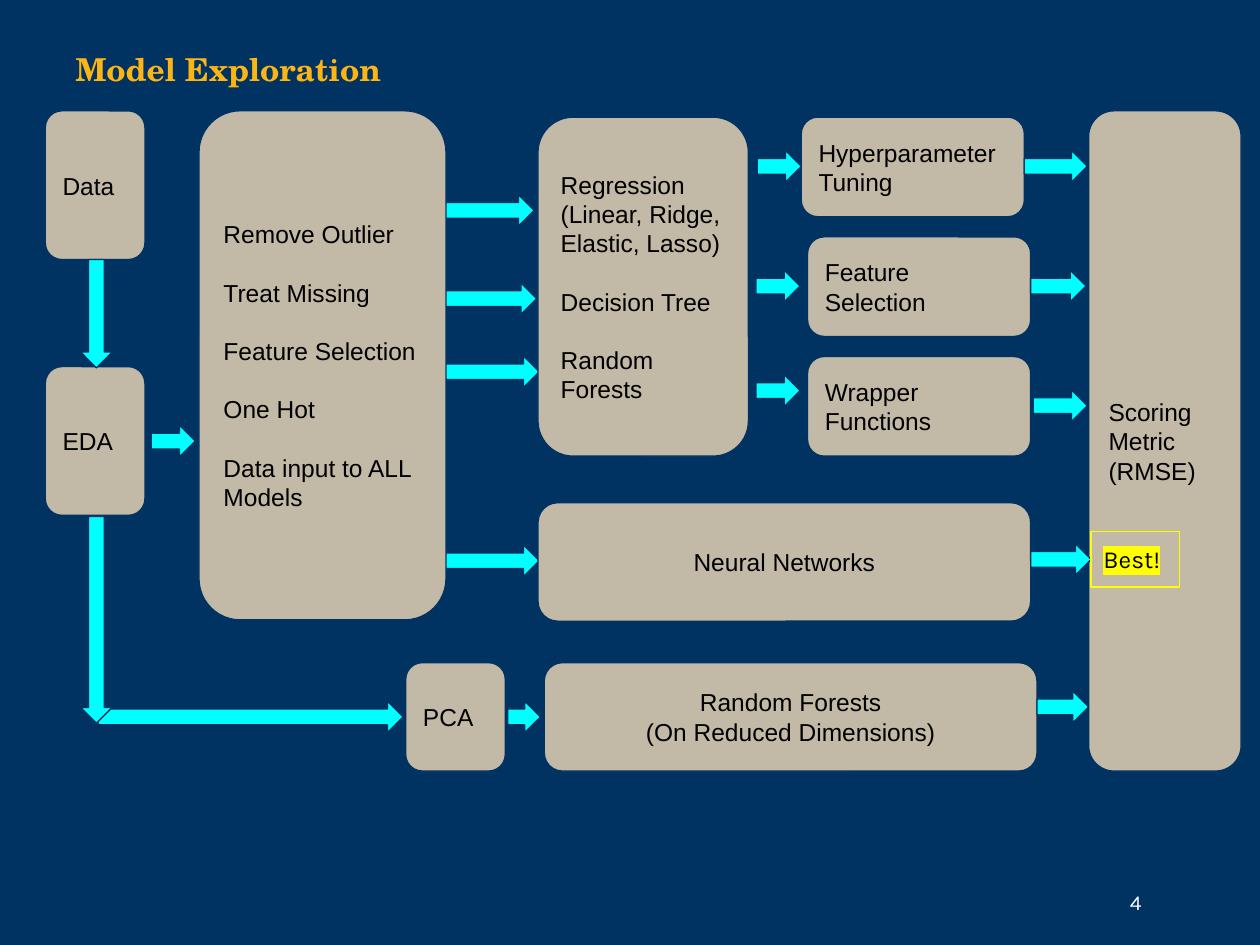
from lxml import etree
from pptx import Presentation
from pptx.dml.color import RGBColor
from pptx.enum import shapes, text
from pptx.oxml.ns import qn
from pptx.util import Inches, Pt

NAVY = RGBColor(0x00, 0x32, 0x62)
GOLD = RGBColor(0xFD, 0xB5, 0x15)
SAND = RGBColor(0xC2, 0xB9, 0xA7)
CYAN = RGBColor(0x00, 0xFF, 0xFF)
YELLOW = RGBColor(0xFF, 0xFF, 0x00)
BLACK = RGBColor(0x00, 0x00, 0x00)
WHITE = RGBColor(0xFF, 0xFF, 0xFF)

LEFT, CENTER = text.PP_ALIGN.LEFT, text.PP_ALIGN.CENTER
TOP, MIDDLE = text.MSO_ANCHOR.TOP, text.MSO_ANCHOR.MIDDLE
ARROW_WIDTH = 0.25

# Steps of the flow: left, top, width, height, paragraphs, format
STEPS = [
    (0.36, 0.88, 0.79, 1.18, ["Data"], {}),
    (0.36, 2.91, 0.79, 1.18, ["EDA"], {}),
    (1.58, 0.88, 1.96, 4.04,
     ["Remove Outlier", "Treat Missing", "Feature Selection", "One Hot",
      "Data input to ALL Models"], {"gap": 16.5}),
    (3.22, 5.26, 0.79, 0.86, ["PCA"], {}),
    (4.27, 0.93, 1.67, 2.69,
     ["Regression (Linear, Ridge, Elastic, Lasso)", "Decision Tree",
      "Random Forests"], {"gap": 16.5}),
    (6.36, 0.93, 1.77, 0.79, ["Hyperparameter", "Tuning"], {}),
    (6.41, 1.88, 1.77, 0.79, ["Feature Selection"], {}),
    (6.41, 2.83, 1.77, 0.79, ["Wrapper Functions"], {}),
    (4.27, 3.99, 3.91, 0.94, ["Neural Networks"], {"align": CENTER}),
    (8.64, 0.88, 1.21, 5.24, ["Scoring Metric (RMSE)"], {}),
    (4.32, 5.26, 3.91, 0.86,
     ["Random Forests", "(On Reduced Dimensions)"], {"align": CENTER}),
]

# Arrows pointing right: tail x, centre y, length
PREPARATION_ARROWS = [
    (2.8, 1.67, 1.44), (2.8, 2.37, 1.46), (2.8, 2.95, 1.48), (2.8, 4.45, 1.48),
]
FLOW_ARROWS = [
    (1.2, 3.5, 0.35),
    (6.01, 1.32, 0.35), (6, 2.27, 0.35), (6, 3.1, 0.35),
    (0.78, 5.69, 2.42), (4.03, 5.69, 0.26),
    (8.13, 1.32, 0.5), (8.18, 2.27, 0.44), (8.2, 3.22, 0.43),
    (8.18, 4.44, 0.48), (8.23, 5.61, 0.41),
]


def write(shape, paragraphs, size=14, font="Arial", color=BLACK, bold=False,
          align=LEFT, anchor=MIDDLE, gap=0, inset=0.1, highlight=None):
    """Fill a shape with paragraphs; gap is the space between them in points."""
    frame = shape.text_frame
    frame.word_wrap = True
    frame.auto_size = text.MSO_AUTO_SIZE.NONE
    frame.vertical_anchor = anchor
    frame.margin_left = frame.margin_right = Inches(0.1)
    frame.margin_top = frame.margin_bottom = Inches(inset)
    for index, line in enumerate(paragraphs):
        paragraph = frame.add_paragraph() if index else frame.paragraphs[0]
        paragraph.alignment = align
        paragraph.space_before = Pt(gap if index else 0)
        run = paragraph.add_run()
        run.text = line
        run.font.size = Pt(size)
        run.font.bold = bold
        run.font.color.rgb = color
        if highlight is not None:
            mark = etree.SubElement(run.font._element, qn("a:highlight"))
            etree.SubElement(mark, qn("a:srgbClr"), val=str(highlight))
        run.font.name = font


def add_block(slide, preset, left, top, width, height, fill, line=NAVY):
    block = slide.shapes.add_shape(
        preset, Inches(left), Inches(top), Inches(width), Inches(height))
    block.shadow.inherit = False
    if fill is None:
        block.fill.background()
    else:
        block.fill.solid()
        block.fill.fore_color.rgb = fill
    block.line.color.rgb = line
    block.line.width = Pt(0.75)
    return block


def add_step(slide, left, top, width, height, paragraphs, style):
    step = add_block(slide, shapes.MSO_SHAPE.ROUNDED_RECTANGLE,
                     left, top, width, height, SAND)
    write(step, paragraphs, **style)


def add_down_arrow(slide, left, top, length):
    return add_block(slide, shapes.MSO_SHAPE.DOWN_ARROW,
                     left, top, ARROW_WIDTH, length, CYAN)


def add_right_arrow(slide, tail, middle, length):
    """Turn a down arrow about its centre so that it starts at tail."""
    arrow = add_down_arrow(slide, tail + (length - ARROW_WIDTH) / 2,
                           middle - length / 2, length)
    arrow.rotation = 270


def add_title(slide):
    title = slide.shapes.title
    title.left, title.top = Inches(0.5), Inches(0.35)
    title.width, title.height = Inches(3.77), Inches(0.53)
    write(title, ["Model Exploration"], size=18, font="TeX Gyre Schola",
          color=GOLD, bold=True, anchor=TOP, inset=0.05)


def add_page_number(slide):
    number = slide.shapes.add_textbox(
        Inches(8.87), Inches(7.01), Inches(1.13), Inches(0.3))
    write(number, ["4"], size=12, font="Karla", color=WHITE,
          anchor=TOP, inset=0.05)


def add_best_mark(slide):
    best = add_block(slide, shapes.MSO_SHAPE.RECTANGLE,
                     8.66, 4.22, 0.7, 0.44, None, YELLOW)
    write(best, ["Best!"], font="Karla", anchor=TOP, highlight=YELLOW)


def main():
    deck = Presentation()
    deck.slide_width, deck.slide_height = Inches(10), Inches(7.5)
    slide = deck.slides.add_slide(deck.slide_layouts[5])
    slide.background.fill.solid()
    slide.background.fill.fore_color.rgb = NAVY

    add_page_number(slide)
    for arrow in PREPARATION_ARROWS:
        add_right_arrow(slide, *arrow)
    add_title(slide)
    for step in STEPS:
        add_step(slide, *step)
    add_down_arrow(slide, 0.64, 2.06, 0.86)
    for arrow in FLOW_ARROWS:
        add_right_arrow(slide, *arrow)
    add_best_mark(slide)
    add_down_arrow(slide, 0.64, 4.1, 1.64)

    deck.save("out.pptx")


if __name__ == "__main__":
    main()
